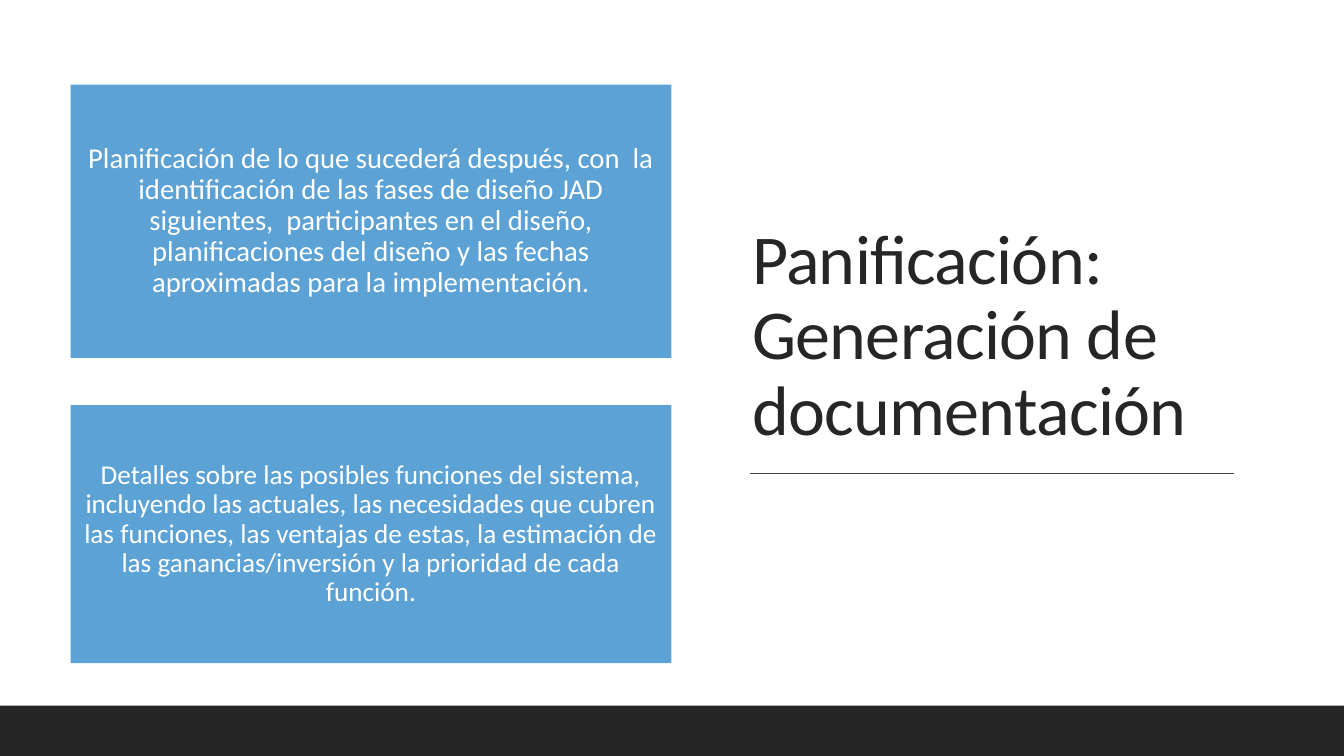
from lxml.etree import SubElement
from pptx import Presentation
from pptx.dml.color import RGBColor
from pptx.enum.shapes import MSO_CONNECTOR, MSO_SHAPE
from pptx.enum.text import MSO_ANCHOR, MSO_AUTO_SIZE, PP_ALIGN
from pptx.oxml.ns import qn
from pptx.util import Inches, Pt

TITLE = "Panificación: Generación de documentación"
# text, top, height, inset, font size
CARDS = [
    ("Planificación de lo que sucederá después, con  la identificación de las "
     "fases de diseño JAD siguientes,  participantes en el diseño, "
     "planificaciones del diseño y las fechas aproximadas para la "
     "implementación.", 0.84, 2.71, 0.15, 20.5),
    ("Detalles sobre las posibles funciones del sistema, incluyendo las "
     "actuales, las necesidades que cubren las funciones, las ventajas de "
     "estas, la estimación de las ganancias/inversión y la prioridad de cada "
     "función.", 4.02, 2.56, 0.07, 19.4),
]
CARD_LEFT, CARD_WIDTH = 0.7, 5.96
SLIDE_WIDTH, SLIDE_HEIGHT, FOOTER_HEIGHT = 13.33, 7.5, 0.5
COLORS = {"card": "5CA2D4", "dark": "262626", "rule": "404040", "white": "FFFFFF"}
FONT = "Calibri"


def color(name):
    return RGBColor.from_string(COLORS[name])


def set_attributes(target, values):
    for name, value in values.items():
        setattr(target, name, value)


def add_rectangle(slide, left, top, width, height, fill):
    shape = slide.shapes.add_shape(
        MSO_SHAPE.RECTANGLE, *map(Inches, (left, top, width, height)))
    shape.shadow.inherit = False
    shape.fill.solid()
    shape.fill.fore_color.rgb = color(fill)
    shape.line.fill.background()
    return shape


def write_text(shape, text, size, font_color, alignment, frame_values):
    frame = shape.text_frame
    set_attributes(frame, {"word_wrap": True, "auto_size": MSO_AUTO_SIZE.NONE,
                           **frame_values})
    paragraph = frame.paragraphs[0]
    set_attributes(paragraph, {"alignment": alignment, "line_spacing": 0.9})
    run = paragraph.add_run()
    run.text = text
    set_attributes(run.font, {"name": FONT, "size": Pt(size)})
    run.font.color.rgb = color(font_color)
    return run


def add_title(slide):
    title = slide.shapes.title
    set_attributes(title, {"left": Inches(7.36), "top": Inches(0.7),
                           "width": Inches(5.26), "height": Inches(3.82)})
    run = write_text(title, TITLE, 50, "dark", PP_ALIGN.LEFT,
                     {"vertical_anchor": MSO_ANCHOR.BOTTOM})
    run.font._element.set("spc", "-50")


def add_title_rule(slide):
    rule = slide.shapes.add_connector(
        MSO_CONNECTOR.STRAIGHT, *map(Inches, (7.44, 4.7, 12.24, 4.7)))
    rule.line.color.rgb = color("rule")
    rule.line.width = Pt(1)
    SubElement(rule._element.spPr, qn("a:effectLst"))


def add_card(slide, text, top, height, inset, size):
    card = add_rectangle(slide, CARD_LEFT, top, CARD_WIDTH, height, "card")
    margins = {f"margin_{side}": Inches(inset)
               for side in ("left", "top", "right", "bottom")}
    write_text(card, text, size, "white", PP_ALIGN.CENTER,
               {"vertical_anchor": MSO_ANCHOR.MIDDLE, **margins})


def main():
    presentation = Presentation()
    presentation.slide_width = Inches(SLIDE_WIDTH)
    presentation.slide_height = Inches(SLIDE_HEIGHT)
    title_only = presentation.slide_layouts[5]
    slide = presentation.slides.add_slide(title_only)
    add_title(slide)
    add_title_rule(slide)
    add_rectangle(slide, 0, SLIDE_HEIGHT - FOOTER_HEIGHT, SLIDE_WIDTH,
                  FOOTER_HEIGHT, "dark")
    for card in CARDS:
        add_card(slide, *card)
    presentation.save("out.pptx")


if __name__ == "__main__":
    main()
